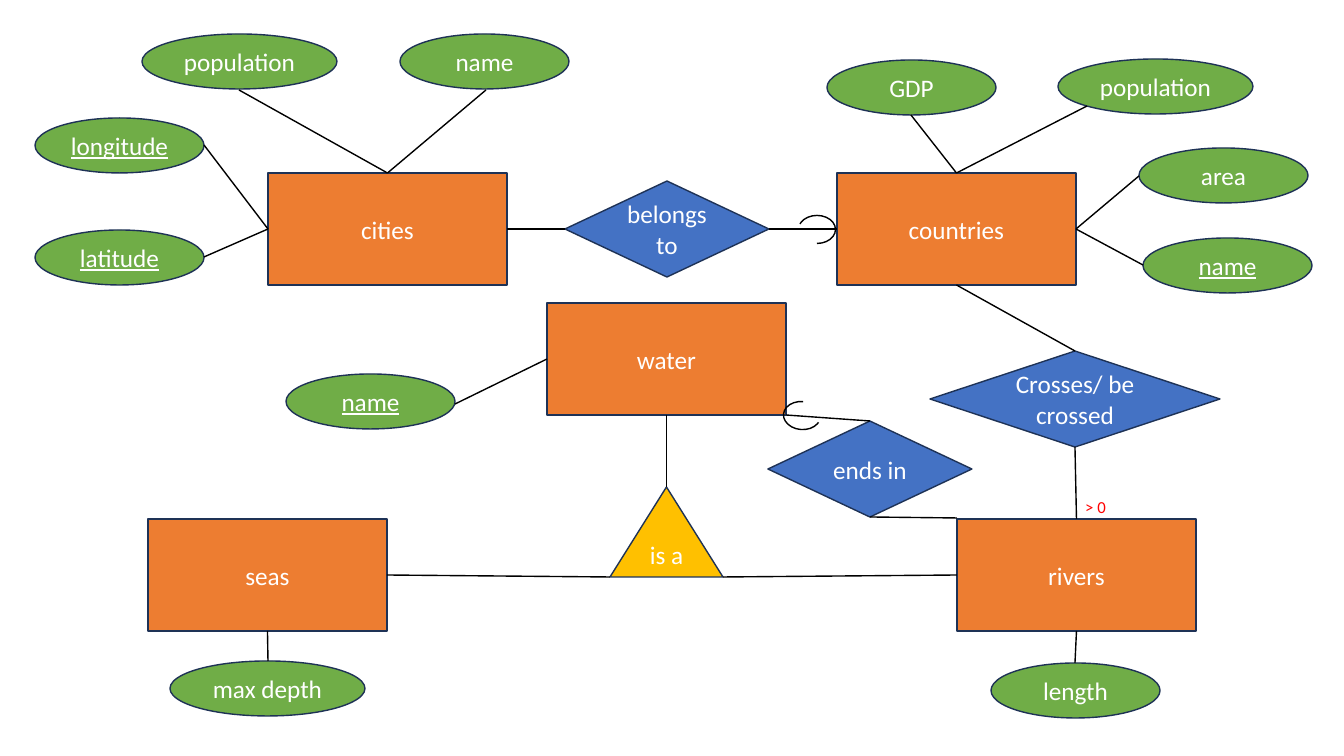
from lxml import etree
from pptx import Presentation
from pptx.dml.color import RGBColor
from pptx.enum.shapes import MSO_CONNECTOR, MSO_SHAPE
from pptx.enum.text import MSO_ANCHOR, MSO_AUTO_SIZE, PP_ALIGN
from pptx.oxml.ns import qn
from pptx.util import Pt

RECT = MSO_SHAPE.RECTANGLE
OVAL = MSO_SHAPE.OVAL
RHOMB = MSO_SHAPE.FLOWCHART_DECISION
WEDGE = MSO_SHAPE.ISOSCELES_TRIANGLE
ARC = MSO_SHAPE.ARC
LINE = MSO_CONNECTOR.STRAIGHT
MIDDLE = MSO_ANCHOR.MIDDLE
CENTER = PP_ALIGN.CENTER
GROW = MSO_AUTO_SIZE.SHAPE_TO_FIT_TEXT
TOP, LEFT, BOTTOM, RIGHT = range(4)

WIDE, HIGH = 1344, 756
SCALE = 12192000 / WIDE
FONT = "Calibri"
COLORS = {
    "entity": "ED7D31", "relation": "4472C4", "field": "70AD47",
    "isa": "FFC000", "edge": "1E3256", "line": "000000",
    "text": "FFFFFF", "note": "FF0000",
}


def px(*nums):
    return [round(num * SCALE) for num in nums]


def color(name):
    return RGBColor.from_string(COLORS[name])


class Diagram:
    """Draws entity diagram elements on one slide in one style."""

    def __init__(self, deck):
        self.slide = deck.slides.add_slide(deck.slide_layouts[6])
        self.shapes = self.slide.shapes
        self.nodes = {}

    def stroke(self, item, name):
        item.line.color.rgb = color(name)
        item.line.width = Pt(1)

    def label(self, frame, text, size, name, under=None):
        para = frame.paragraphs[0]
        para.alignment = CENTER
        run = para.add_run()
        run.text = text
        run.font.name = FONT
        run.font.size = Pt(size)
        run.font.color.rgb = color(name)
        run.font.underline = under

    def node(self, kind, fill, text, box, under=None):
        shape = self.shapes.add_shape(kind, *px(*box))
        shape.shadow.inherit = False
        shape.fill.solid()
        shape.fill.fore_color.rgb = color(fill)
        self.stroke(shape, "edge")
        shape.text_frame.vertical_anchor = MIDDLE
        shape.text_frame.word_wrap = True
        self.label(shape.text_frame, text, 18, "text", under)
        return shape

    def entity(self, text, x, y):
        self.nodes[text] = self.node(RECT, "entity", text, (x, y, 239, 112))

    def relation(self, text, x, y, w=204):
        self.nodes[text] = self.node(RHOMB, "relation", text, (x, y, w, 96))

    def field(self, text, x, y, w=169, key=None):
        self.node(OVAL, "field", text, (x, y, w, 55), key)

    def isa(self, text, x, y, w, h):
        self.nodes[text] = self.node(WEDGE, "isa", text, (x, y, w, h))

    def link(self, start, end):
        ends = [(0, 0) if spot[0] in self.nodes else spot for spot in (start, end)]
        wire = self.shapes.add_connector(LINE, *px(*ends[0], *ends[1]))
        for spot, join in ((start, wire.begin_connect), (end, wire.end_connect)):
            if spot[0] in self.nodes:
                join(self.nodes[spot[0]], spot[1])
        self.stroke(wire, "line")
        etree.SubElement(wire._element.spPr, qn("a:effectLst"))

    def arc(self, x, y, turn):
        arc = self.shapes.add_shape(ARC, *px(x, y, 28, 37))
        arc.shadow.inherit = False
        arc.fill.background()
        arc.adjustments[0] = 64.8
        arc.rotation = turn
        self.stroke(arc, "line")

    def note(self, text, x, y, w, h):
        frame = self.shapes.add_textbox(*px(x, y, w, h)).text_frame
        frame.word_wrap = False
        frame.auto_size = GROW
        self.label(frame, text, 12, "note")


def main():
    deck = Presentation()
    deck.slide_width, deck.slide_height = px(WIDE, HIGH)
    art = Diagram(deck)

    for text, x, y in (
        ("cities", 268, 173), ("countries", 837, 173), ("water", 547, 303),
        ("seas", 148, 519), ("rivers", 957, 519),
    ):
        art.entity(text, x, y)

    art.relation("belongs to", 565, 181)
    art.relation("Crosses/ be crossed", 930, 351, 290)
    art.relation("ends in", 768, 421)
    art.isa("is a", 610, 487, 113, 90)

    for text, x, y, w in (
        ("population", 142, 34, 195), ("name", 400, 34, 169),
        ("GDP", 827, 60, 169), ("population", 1058, 59, 195),
        ("area", 1139, 148, 169), ("max depth", 170, 661, 195),
        ("length", 991, 663, 169),
    ):
        art.field(text, x, y, w)
    for text, x, y in (
        ("longitude", 35, 118), ("latitude", 35, 230),
        ("name", 1143, 238), ("name", 286, 374),
    ):
        art.field(text, x, y, key=True)

    for name, side, spot in (
        ("cities", LEFT, (204, 257)), ("cities", LEFT, (204, 145)),
        ("cities", TOP, (239, 90)), ("cities", TOP, (486, 90)),
        ("countries", TOP, (911, 115)), ("countries", TOP, (1087, 106)),
        ("countries", RIGHT, (1139, 176)), ("countries", RIGHT, (1143, 265)),
        ("seas", BOTTOM, (268, 661)), ("rivers", BOTTOM, (1075, 663)),
        ("water", LEFT, (455, 404)),
        ("seas", RIGHT, (610, 577)), ("rivers", LEFT, (723, 577)),
        ("ends in", TOP, (786, 415)), ("ends in", BOTTOM, (957, 518)),
        ("cities", RIGHT, ("belongs to", LEFT)),
        ("belongs to", RIGHT, ("countries", LEFT)),
        ("countries", BOTTOM, ("Crosses/ be crossed", TOP)),
        ("Crosses/ be crossed", BOTTOM, ("rivers", TOP)),
        ("water", BOTTOM, ("is a", TOP)),
    ):
        art.link((name, side), spot)

    art.arc(803, 211, 90)
    art.arc(788, 397, 274.4)
    art.note("> 0", 1075, 492, 41, 30)
    deck.save("out.pptx")


if __name__ == "__main__":
    main()
